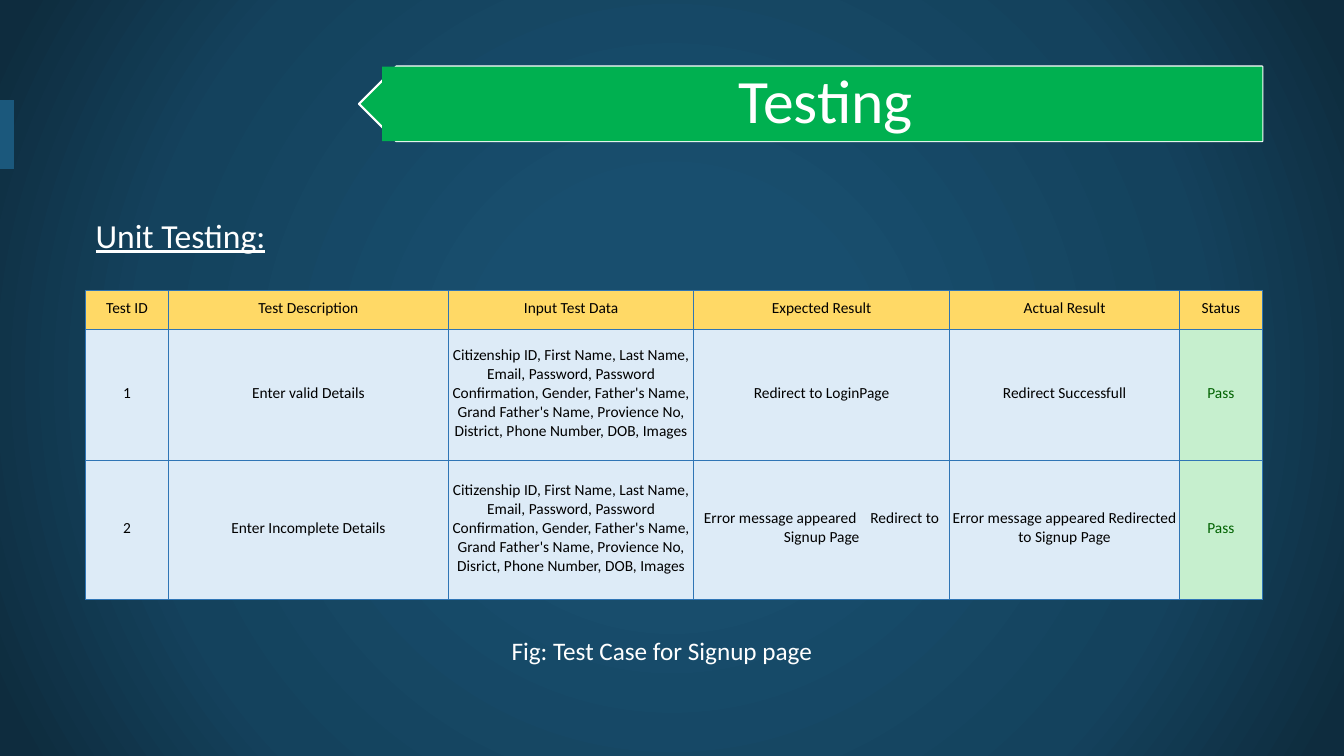
from pptx import Presentation
from pptx.dml.color import RGBColor
from pptx.enum.shapes import MSO_CONNECTOR, MSO_SHAPE
from pptx.enum.text import MSO_ANCHOR, MSO_AUTO_SIZE, PP_ALIGN
from pptx.oxml import parse_xml
from pptx.oxml.ns import nsdecls
from pptx.util import Inches, Pt
from lxml.etree import SubElement

FONT = "Calibri"
WHITE, BLACK, GREEN = "FFFFFF", "000000", "00B050"
HEADER_FILL, BODY_FILL, PASS_FILL, PASS_TEXT = "FFD966", "DDEBF7", "C6EFCE", "006100"
BORDER, ACCENT = "2F75B5", "1B587C"
BACKDROP = [(0, "184E6E"), (23, "184E6E"), (69, "14425D"), (97, "0E2C3E")]

TITLE = "Testing"
HEADING = "Unit Testing:"
CAPTION = "Fig: Test Case for Signup page"
INPUTS = ("Citizenship ID, First Name, Last Name, Email, Password, Password Confirmation, "
          "Gender, Father's Name, Grand Father's Name, Provience No, {}, "
          "Phone Number, DOB, Images")
TESTS = [
    ("Test ID", "Test Description", "Input Test Data", "Expected Result",
     "Actual Result", "Status"),
    ("1", "Enter valid Details", INPUTS.format("District"), "Redirect to LoginPage",
     "Redirect Successfull", "Pass"),
    ("2", "Enter Incomplete Details", INPUTS.format("Disrict"),
     "Error message appeared    Redirect to Signup Page",
     "Error message appeared Redirected to Signup Page", "Pass"),
]
COLS = [0.82, 2.78, 2.43, 2.54, 2.28, 0.82]
ROWS = [0.39, 1.3, 1.38]
LEFT, TABLE_TOP = 0.85, 2.88
RIGHT = LEFT + sum(COLS)
BANNER_TOP, BANNER_H, BANNER_LEFT, TIP_LEFT = 0.66, 0.74, 3.79, 3.56


def rgb(color):
    return RGBColor.from_string(color)


def inches(*values):
    return [Inches(v) for v in values]


def write(tf, text, size, color=WHITE, align=PP_ALIGN.CENTER, underline=None, spacing=None):
    p = tf.paragraphs[0]
    p.alignment, p.line_spacing = align, spacing
    r = p.add_run()
    r.text = text
    r.font.name, r.font.size, r.font.underline = FONT, Pt(size), underline
    r.font.color.rgb = rgb(color)


def set_margins(target, left, top, right, bottom):
    (target.margin_left, target.margin_top,
     target.margin_right, target.margin_bottom) = inches(left, top, right, bottom)


def add_label(s, box, text, size, **fmt):
    tf = s.shapes.add_textbox(*inches(*box)).text_frame
    tf.word_wrap = True
    tf.auto_size = MSO_AUTO_SIZE.SHAPE_TO_FIT_TEXT
    write(tf, text, size, **fmt)


def paint_backdrop(s):
    s.background.fill.solid()
    stops = "".join(f'<a:gs pos="{pos * 1000}"><a:srgbClr val="{color}"/></a:gs>'
                    for pos, color in BACKDROP)
    bg = s._element.cSld.bg.bgPr
    bg.replace(bg[0], parse_xml(
        f'<a:gradFill {nsdecls("a")} rotWithShape="1"><a:gsLst>{stops}</a:gsLst>'
        '<a:path path="circle"><a:fillToRect l="50000" t="50000" r="50000" b="50000"/>'
        '</a:path></a:gradFill>'))


def add_accent(s):
    line = s.shapes.add_connector(MSO_CONNECTOR.STRAIGHT, *inches(0.07, 1.61, 0.07, 1.06))
    line.line.color.rgb, line.line.width = rgb(ACCENT), Pt(10)
    line.line._get_or_add_ln().set("cap", "sq")
    SubElement(line._element.spPr, "{http://schemas.openxmlformats.org/drawingml/2006/main}effectLst")


def add_banner(s):
    tip = s.shapes.add_shape(MSO_SHAPE.PENTAGON,
                             *inches(TIP_LEFT, BANNER_TOP, RIGHT - TIP_LEFT, BANNER_H))
    tip.rotation = 180
    tip.shadow.inherit = False
    tip.fill.solid()
    tip.fill.fore_color.rgb = rgb(GREEN)
    tip.line.color.rgb, tip.line.width = rgb(WHITE), Pt(1.5)

    title = s.shapes.title
    title.left, title.top, title.width, title.height = inches(
        BANNER_LEFT, BANNER_TOP, RIGHT - BANNER_LEFT, BANNER_H)
    title.fill.solid()
    title.fill.fore_color.rgb = rgb(GREEN)
    tf = title.text_frame
    tf.auto_size, tf.vertical_anchor = MSO_AUTO_SIZE.NONE, MSO_ANCHOR.MIDDLE
    set_margins(tf, 0.27, 0.11, 0.2, 0.11)
    write(tf, TITLE, 44, spacing=0.9)
    tip._element.addnext(title._element)  # the title lies over the arrow tip


def add_borders(cell):
    tc_pr = cell._tc.get_or_add_tcPr()
    for i, side in enumerate("LRTB"):
        tc_pr.insert(i, parse_xml(
            f'<a:ln{side} {nsdecls("a")} w="{Pt(0.5)}"><a:solidFill>'
            f'<a:srgbClr val="{BORDER}"/></a:solidFill></a:ln{side}>'))


def add_tests(s):
    table = s.shapes.add_table(len(ROWS), len(COLS), *inches(
        LEFT, TABLE_TOP, sum(COLS), sum(ROWS))).table
    for col, width in zip(table.columns, COLS):
        col.width = Inches(width)
    for i, (row, height) in enumerate(zip(table.rows, ROWS)):
        row.height = Inches(height)
        for cell, text in zip(row.cells, TESTS[i]):
            passed = text == "Pass"
            fill = HEADER_FILL if i == 0 else PASS_FILL if passed else BODY_FILL
            cell.fill.solid()
            cell.fill.fore_color.rgb = rgb(fill)
            cell.vertical_anchor = MSO_ANCHOR.MIDDLE
            set_margins(cell, 0.01, 0.01, 0.01, 0.05)
            write(cell.text_frame, text, 11, color=PASS_TEXT if passed else BLACK)
            add_borders(cell)
    table.first_row = table.horz_banding = False


def main():
    prs = Presentation()
    prs.slide_width, prs.slide_height = inches(13.33, 7.5)
    s = prs.slides.add_slide(prs.slide_layouts[5])
    paint_backdrop(s)
    add_accent(s)
    add_banner(s)
    add_tests(s)
    add_label(s, (LEFT, 2.08, 6.36, 0.5), HEADING, 24, align=PP_ALIGN.LEFT, underline=True)
    add_label(s, (4.01, 6.25, 5.11, 0.4), CAPTION, 18)
    prs.save("out.pptx")


if __name__ == "__main__":
    main()
